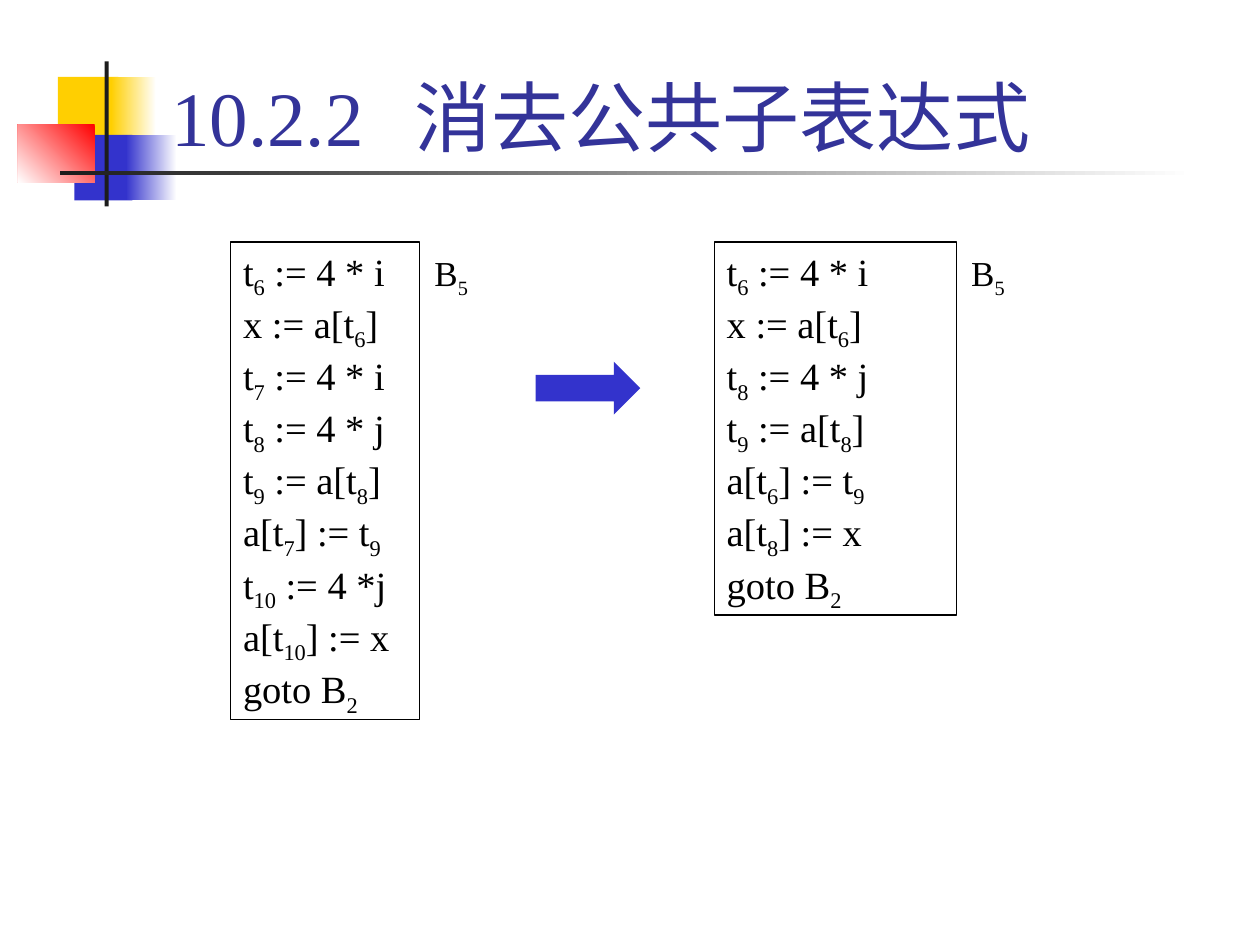
from typing import NamedTuple

from lxml.etree import SubElement
from pptx import Presentation
from pptx.dml.color import RGBColor
from pptx.enum.shapes import MSO_SHAPE as Preset
from pptx.enum.text import MSO_ANCHOR as Anchor, MSO_AUTO_SIZE as AutoSize, PP_ALIGN as Align
from pptx.oxml.ns import qn
from pptx.util import Cm, Pt

FONT = "Times New Roman"
BLUE, BLACK, WHITE = "3333CC", "000000", "FFFFFF"
SUBSCRIPT = "~"  # encloses each subscript in the code lines


class Area(NamedTuple):
    left: float
    top: float
    width: float
    height: float


class Ornament(NamedTuple):
    area: Area
    start: str
    end: str | None = None
    angle: int = 180


class CodeBlock(NamedTuple):
    area: Area
    lines: list[str]


ORNAMENTS = [
    Ornament(Area(1.17, 1.55, 1.22, 1.32), "FFCF01"),
    Ornament(Area(2.24, 1.55, 0.91, 1.32), WHITE, "FFCF01"),
    Ornament(Area(1.5, 2.72, 1.17, 1.32), BLUE),
    Ornament(Area(2.54, 2.72, 1.02, 1.32), WHITE, BLUE),
    Ornament(Area(0.36, 2.51, 1.55, 1.17), "FF0000", WHITE, 225),
    Ornament(Area(2.11, 1.24, 0.08, 2.92), "1C1C1C"),
    Ornament(Area(1.22, 3.45, 22.86, 0.08), WHITE, "1C1C1C"),
]

BLOCKS = [
    CodeBlock(Area(4.65, 4.88, 3.81, 9.63), [
        "t~6~ := 4 * i",
        "x := a[t~6~]",
        "t~7~ := 4 * i",
        "t~8~ := 4 * j",
        "t~9~ := a[t~8~]",
        "a[t~7~] := t~9~",
        "t~10~ := 4 *j",
        "a[t~10~] := x",
        "goto B~2~",
    ]),
    CodeBlock(Area(14.4, 4.88, 4.88, 7.52), [
        "t~6~ := 4 * i",
        "x := a[t~6~]",
        "t~8~ := 4 * j",
        "t~9~ := a[t~8~]",
        "a[t~6~] := t~9~",
        "a[t~8~] := x",
        "goto B~2~",
    ]),
]


def color(value: str) -> RGBColor:
    return RGBColor.from_string(value)


def lengths(area: Area) -> list[Cm]:
    return [Cm(value) for value in area]


def add_preset(page, preset: Preset, area: Area):
    """Add a shape without shadow, fill or outline."""
    shape = page.shapes.add_shape(preset, *lengths(area))
    shape.shadow.inherit = False
    shape.fill.background()
    shape.line.fill.background()
    return shape


def fill_solid(shape, value: str) -> None:
    shape.fill.solid()
    shape.fill.fore_color.rgb = color(value)


def add_ornament(page, ornament: Ornament) -> None:
    shape = add_preset(page, Preset.RECTANGLE, ornament.area)
    if ornament.end is None:
        fill_solid(shape, ornament.start)
        return
    shape.fill.gradient()
    shape.fill.gradient_angle = ornament.angle
    for stop, value in zip(shape.fill.gradient_stops, (ornament.start, ornament.end)):
        stop.color.rgb = color(value)


def style_font(font, size: float, value: str) -> None:
    font.name = FONT
    font.size = Pt(size)
    font.color.rgb = color(value)


def write_subscripted(para, text: str, size: float) -> None:
    for index, part in enumerate(text.split(SUBSCRIPT)):
        if not part:
            continue
        span = para.add_run()
        span.text = part
        style_font(span.font, size, BLACK)
        if index % 2:
            span._r.get_or_add_rPr().set("baseline", "-25000")


def add_title(page, text: str, area: Area, tab: float) -> None:
    box = page.shapes.add_textbox(*lengths(area))
    frame = box.text_frame
    frame.word_wrap = True
    frame.vertical_anchor = Anchor.BOTTOM
    frame.text = text
    para = frame.paragraphs[0]
    tabs = SubElement(para._p.get_or_add_pPr(), qn("a:tabLst"))
    SubElement(tabs, qn("a:tab"), pos=str(Cm(tab)), algn="l")
    for span in para.runs:
        style_font(span.font, 44, "333399")


def add_code(page, block: CodeBlock) -> None:
    box = add_preset(page, Preset.RECTANGLE, block.area)
    box.line.color.rgb = color(BLACK)
    box.line.width = Pt(0.75)
    frame = box.text_frame
    frame.word_wrap = True
    frame.auto_size = AutoSize.SHAPE_TO_FIT_TEXT
    frame.vertical_anchor = Anchor.TOP
    for index, line in enumerate(block.lines):
        para = frame.add_paragraph() if index else frame.paragraphs[0]
        para.alignment = Align.LEFT
        para.line_spacing = 0.9
        if index:
            para.space_before = Pt(2.8)
        write_subscripted(para, line, 22)


def add_block_name(page, text: str, block: CodeBlock) -> None:
    """Name a code block just outside its top right corner."""
    area = Area(block.area.left + block.area.width, 4.95, 1.27, 1.22)
    box = page.shapes.add_textbox(*lengths(area))
    frame = box.text_frame
    frame.word_wrap = True
    frame.auto_size = AutoSize.SHAPE_TO_FIT_TEXT
    para = frame.paragraphs[0]
    para.alignment = Align.CENTER
    write_subscripted(para, text, 20)


def main() -> None:
    deck = Presentation()
    deck.slide_width, deck.slide_height = Cm(25.4), Cm(19.05)
    page = deck.slides.add_slide(deck.slide_layouts[6])
    for ornament in ORNAMENTS:
        add_ornament(page, ornament)
    add_title(page, "10.2.2\t消去公共子表达式", Area(3.2, 0.2, 21.64, 3.18), tab=4.9)
    for block in BLOCKS:
        add_code(page, block)
        add_block_name(page, "B~5~", block)
    arrow = add_preset(page, Preset.RIGHT_ARROW, Area(10.8, 7.29, 2.11, 1.07))
    fill_solid(arrow, BLUE)
    deck.save("out.pptx")


if __name__ == "__main__":
    main()
